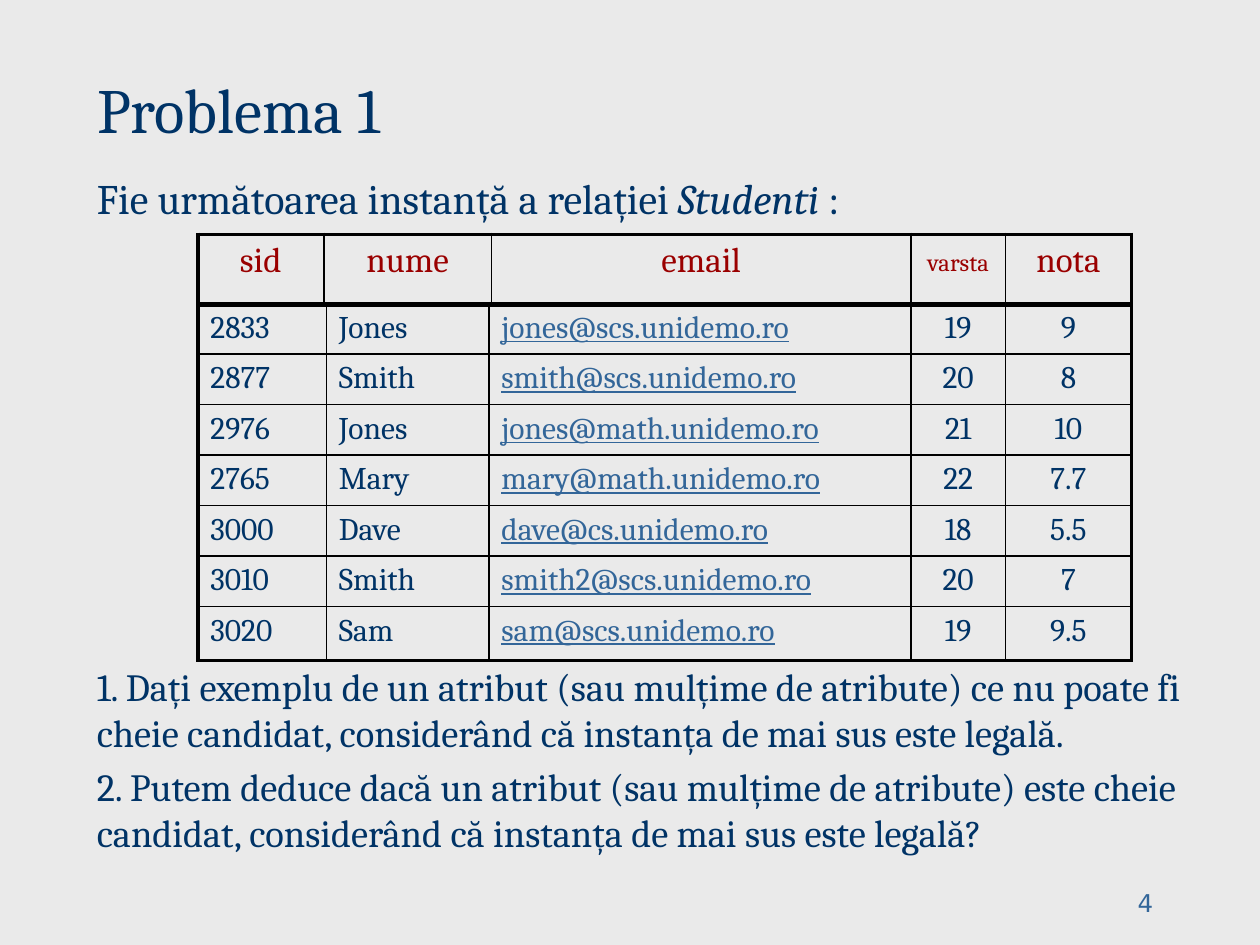
from dataclasses import dataclass

from lxml.etree import SubElement
from pptx import Presentation
from pptx.dml.color import RGBColor
from pptx.enum.text import MSO_ANCHOR as Anchor, MSO_AUTO_SIZE as AutoSize, PP_ALIGN as Align
from pptx.oxml.ns import qn
from pptx.util import Inches, Pt


@dataclass(frozen=True)
class Theme:
    background: str = "EAEAEA"
    ink: str = "003366"
    accent: str = "336699"
    header: str = "9A0000"
    border: str = "000000"
    font: str = "Cambria"
    number_font: str = "DejaVu Sans"
    title: float = 36
    intro: float = 24
    question: float = 22
    heading: float = 20
    cell: float = 18
    small: float = 14
    thin: float = 1
    thick: float = 2.25


theme = Theme()


def style(paragraph, size, color=theme.ink, align=Align.LEFT, name=theme.font):
    paragraph.alignment = align
    paragraph.font.name = name
    paragraph.font.size = Pt(size)
    paragraph.font.color.rgb = RGBColor.from_string(color)


def add_grid(page, top, rows, widths, heights):
    frame = page.shapes.add_table(
        len(rows), len(widths), Inches(1.57), Inches(top),
        Inches(sum(widths)), Inches(sum(heights)))
    grid = frame.table
    grid.first_row = grid.horz_banding = False
    for column, width in zip(grid.columns, widths):
        column.width = Inches(width)
    for row, height in zip(grid.rows, heights):
        row.height = Inches(height)
    for r, values in enumerate(rows):
        for c, value in enumerate(values):
            cell = grid.cell(r, c)
            cell.text = value
            outer = {"L": c == 0, "R": c == len(widths) - 1,
                     "T": r == 0, "B": r == len(rows) - 1}
            properties = cell._tc.get_or_add_tcPr()
            for side, is_outer in outer.items():
                weight = theme.thick if is_outer else theme.thin
                line = SubElement(properties, qn(f"a:ln{side}"), w=str(Pt(weight)))
                fill = SubElement(line, qn("a:solidFill"))
                SubElement(fill, qn("a:srgbClr"), val=theme.border)
            cell.fill.background()
    return grid


deck = Presentation()
deck.slide_width = Inches(10)
deck.slide_height = Inches(7.5)
page = deck.slides.add_slide(deck.slide_layouts[5])
page.background.fill.solid()
page.background.fill.fore_color.rgb = RGBColor.from_string(theme.background)

title = page.shapes.title
title.left, title.top = Inches(0.67), Inches(0.5)
title.width, title.height = Inches(9.08), Inches(0.71)
title.text_frame.text = "Problema 1"
title.text_frame.vertical_anchor = Anchor.BOTTOM
title.text_frame.auto_size = AutoSize.SHAPE_TO_FIT_TEXT
style(title.text_frame.paragraphs[0], theme.title)

body = page.shapes.add_textbox(Inches(0.67), Inches(1.32), Inches(9.33), Inches(5.5))
body.text_frame.word_wrap = True
intro = body.text_frame.paragraphs[0]
style(intro, theme.intro)
for text, italic in [("Fie următoarea instanță a relației ", False),
                     ("Studenti", True), (" :", False)]:
    span = intro.add_run()
    span.text = text
    span.font.italic = italic

questions = [
    ("1. Dați exemplu de un atribut (sau mulțime de atribute) ce nu poate fi "
     "cheie candidat, considerând că instanța de mai sus este legală.", Inches(3.49)),
    ("2. Putem deduce dacă un atribut (sau mulțime de atribute) este cheie "
     "candidat, considerând că instanța de mai sus este legală?", Inches(0.06)),
]
for text, gap in questions:
    para = body.text_frame.add_paragraph()
    para.text = text
    para.space_before = gap
    style(para, theme.question)

headings = ["sid", "nume", "email", "varsta", "nota"]
header = add_grid(page, 1.86, [headings], [1, 1.33, 3.33, 0.75, 1], [0.56])
for cell in header.iter_cells():
    style(cell.text_frame.paragraphs[0], theme.heading, theme.header, Align.CENTER)
age = header.cell(0, 3)
age.margin_top = Inches(0.12)
age.text_frame.paragraphs[0].font.size = Pt(theme.small)

students = [
    ("2833", "Jones", "jones@scs.unidemo.ro", "19", "9"),
    ("2877", "Smith", "smith@scs.unidemo.ro", "20", "8"),
    ("2976", "Jones", "jones@math.unidemo.ro", "21", "10"),
    ("2765", "Mary", "mary@math.unidemo.ro", "22", "7.7"),
    ("3000", "Dave", "dave@cs.unidemo.ro", "18", "5.5"),
    ("3010", "Smith", "smith2@scs.unidemo.ro", "20", "7"),
    ("3020", "Sam", "sam@scs.unidemo.ro", "19", "9.5"),
]
records = add_grid(page, 2.41, students, [1.02, 1.29, 3.35, 0.75, 1], [0.4] * 6 + [0.43])
for row in records.rows:
    for heading, cell in zip(headings, row.cells):
        para = cell.text_frame.paragraphs[0]
        is_email = heading == "email"
        style(para, theme.cell, theme.accent if is_email else theme.ink,
              Align.CENTER if heading in ("varsta", "nota") else Align.LEFT)
        para.font.underline = is_email

number = page.shapes.add_textbox(Inches(7.17), Inches(6.83), Inches(2.08), Inches(0.5))
number.text_frame.word_wrap = True
number.text_frame.vertical_anchor = Anchor.BOTTOM
number.text_frame.text = "4"
style(number.text_frame.paragraphs[0], theme.small, theme.accent, Align.RIGHT, theme.number_font)

deck.save("out.pptx")
